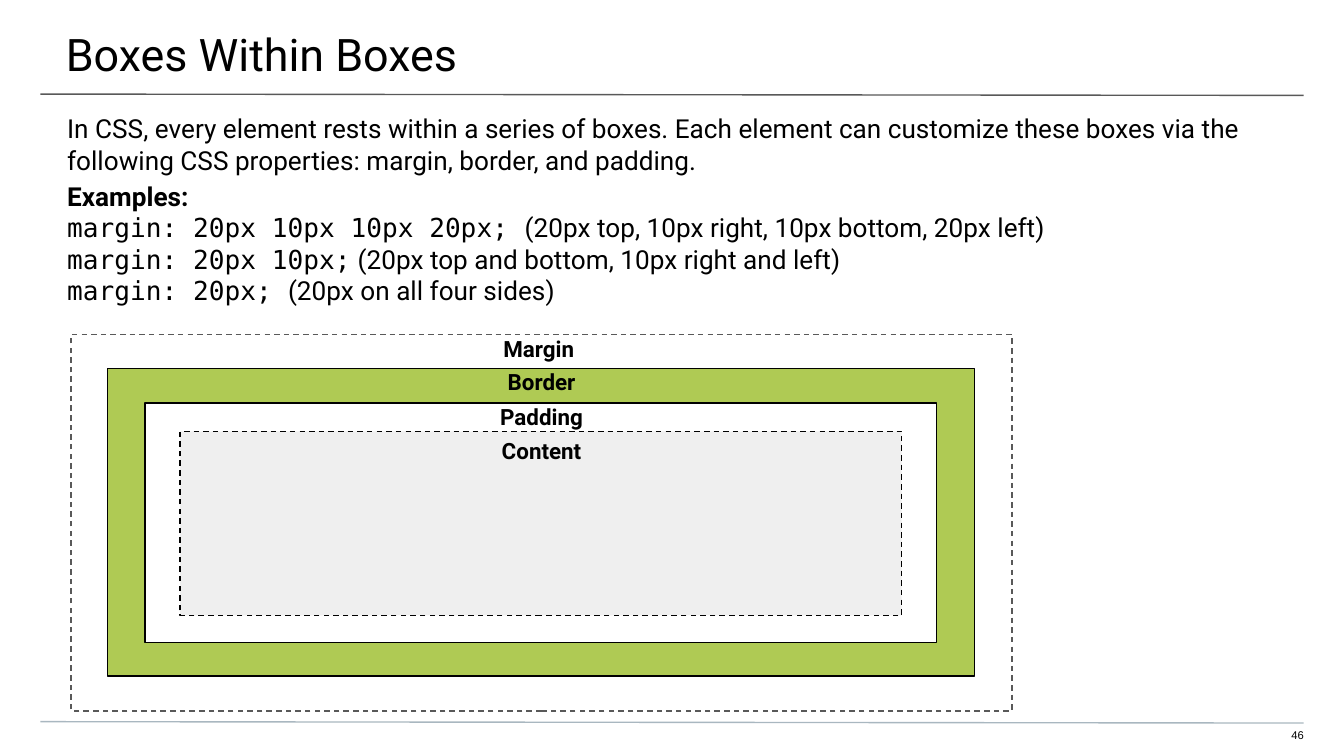
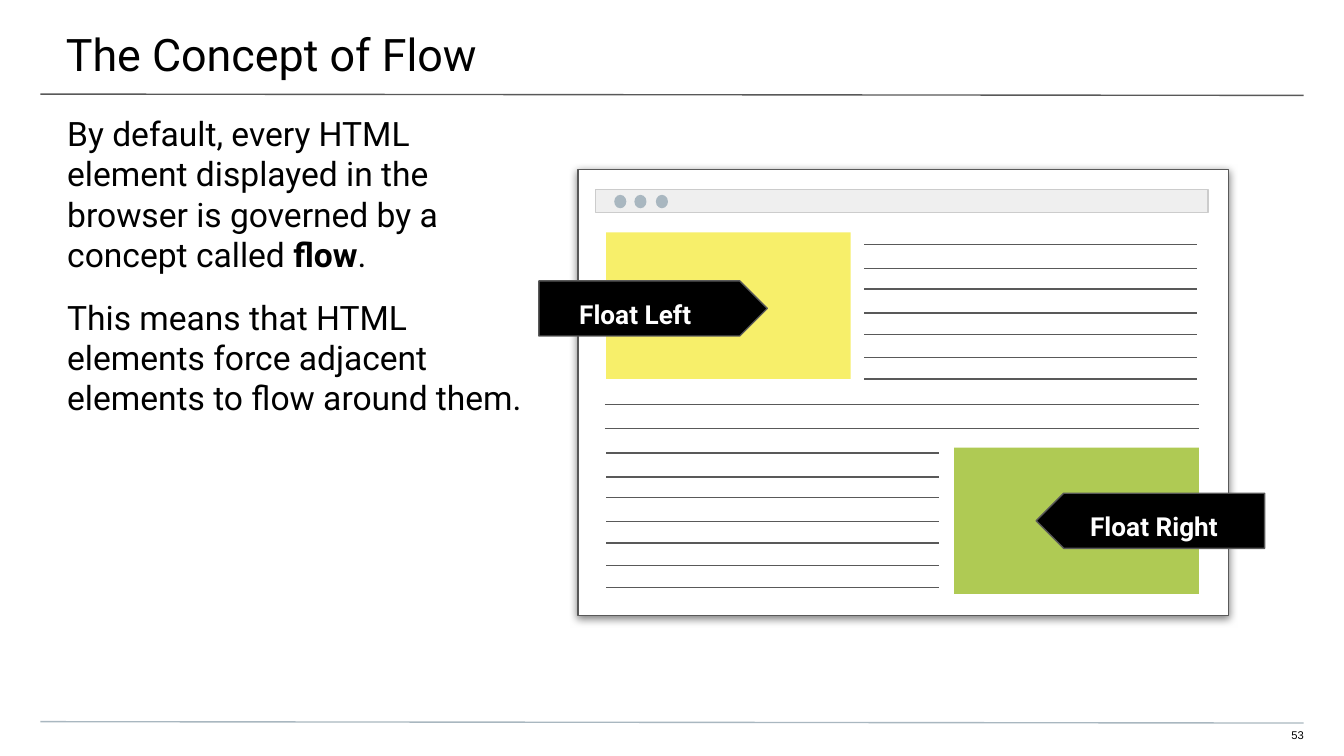
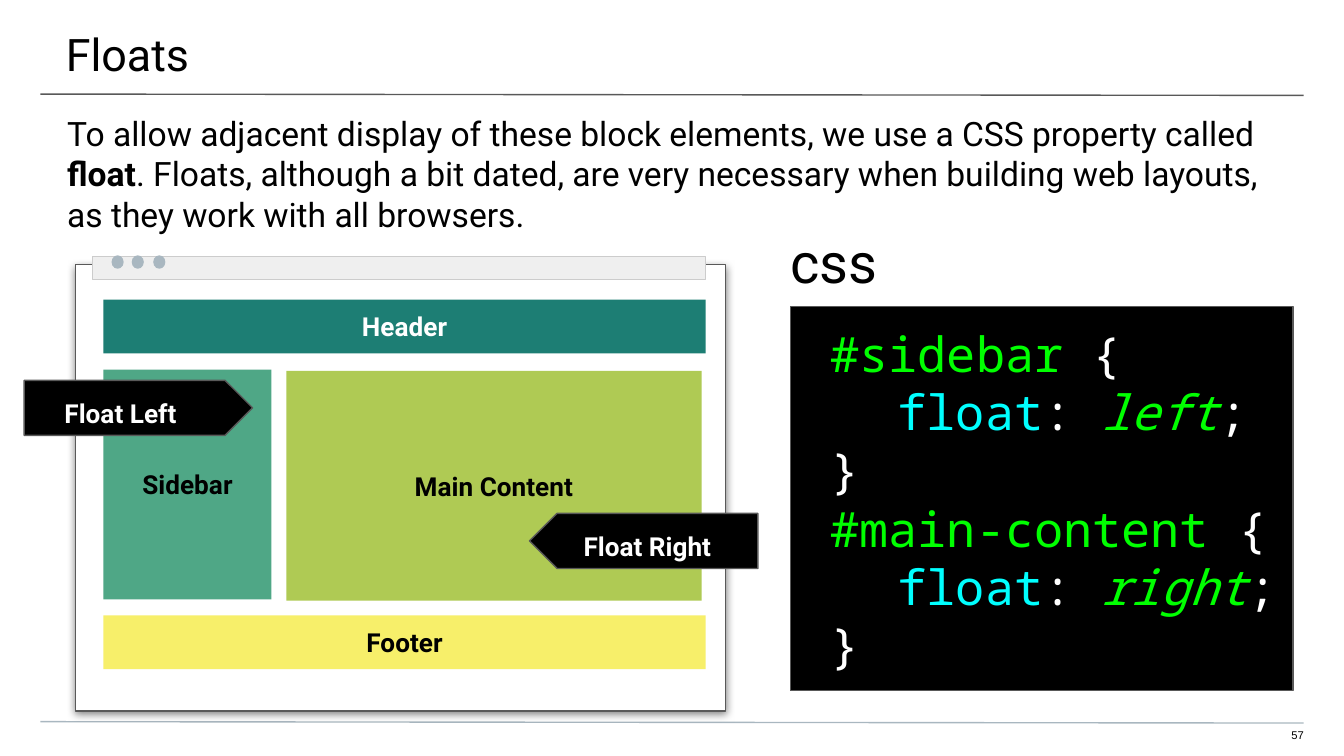
from lxml import etree
from pptx import Presentation
from pptx.dml.color import RGBColor
from pptx.enum.dml import MSO_LINE
from pptx.enum.shapes import MSO_CONNECTOR, MSO_SHAPE
from pptx.enum.text import MSO_ANCHOR, PP_ALIGN
from pptx.oxml.ns import qn
from pptx.util import Inches, Pt

PX = 9144  # EMU in one px, 100 px to the inch
RECT, OVAL, ARROW = MSO_SHAPE.RECTANGLE, MSO_SHAPE.OVAL, MSO_SHAPE.PENTAGON
STRAIGHT = MSO_CONNECTOR.STRAIGHT
LEFT, CENTER, RIGHT = PP_ALIGN.LEFT, PP_ALIGN.CENTER, PP_ALIGN.RIGHT
TOP, MIDDLE = MSO_ANCHOR.TOP, MSO_ANCHOR.MIDDLE
DASH = MSO_LINE.DASH

SANS, MONO, CODE, NUMBER = "Roboto", "DejaVu Sans Mono", "Noto Sans Mono", "Arial"
COLORS = {
    "black": "000000", "white": "FFFFFF", "rule": "595959", "steel": "A9B7C0",
    "bar": "EFEFEF", "bar_edge": "CCCCCC", "green": "AFCA54", "yellow": "F7EF6A",
    "teal": "1D7E74", "mint": "4FA786", "lime": "00FF00", "cyan": "00FFFF",
}
BODY_INSETS = (50, 10, 50, 0)


def rgb(name):
    return RGBColor.from_string(COLORS[name])


def write(sp, paras, size=14, font=SANS, color="black", bold=False, align=LEFT,
          anchor=TOP, insets=(0, 0, 0, 0), leading=None, before=0, indents=()):
    """Fill sp; each paragraph is a string or a list of (text, overrides) runs."""
    tf = sp.text_frame
    tf.word_wrap = True
    tf.vertical_anchor = anchor
    tf.margin_left, tf.margin_top, tf.margin_right, tf.margin_bottom = (
        v * PX for v in insets)
    for i, runs in enumerate([paras] if isinstance(paras, str) else paras):
        p = tf.paragraphs[0] if i == 0 else tf.add_paragraph()
        p.alignment = align
        if i and before:
            p.space_before = Pt(before)
        if leading:
            p.line_spacing = Pt(leading)
        if i in indents:
            p._p.get_or_add_pPr().set("indent", str(50 * PX))
        for text, fmt in [(runs, {})] if isinstance(runs, str) else runs:
            if text == "\n":
                p.add_line_break()
                continue
            r = p.add_run()
            r.text = text
            r.font.name = fmt.get("font", font)
            r.font.size = Pt(size)
            r.font.bold = fmt.get("bold", bold)
            r.font.italic = fmt.get("italic", False)
            r.font.color.rgb = rgb(fmt.get("color", color))


def text_box(s, box, paras, **fmt):
    write(s.shapes.add_textbox(*(v * PX for v in box)), paras, **fmt)


def shape(s, kind, box, fill, line=None, dash=None):
    sp = s.shapes.add_shape(kind, *(v * PX for v in box))
    sp.shadow.inherit = False
    sp.fill.solid()
    sp.fill.fore_color.rgb = rgb(fill)
    if line:
        sp.line.color.rgb = rgb(line)
        sp.line.width = Pt(0.75)
        if dash:
            sp.line.dash_style = dash
    else:
        sp.line.fill.background()
    return sp


def rule(s, x1, y1, x2, y2, color="rule"):
    ln = s.shapes.add_connector(STRAIGHT, x1 * PX, y1 * PX, x2 * PX, y2 * PX)
    ln.line.color.rgb = rgb(color)
    ln.line.width = Pt(0.75)
    etree.SubElement(ln._element.spPr, qn("a:effectLst"))


def drop_shadow(sp):
    effects = sp._element.spPr.find(qn("a:effectLst"))
    shadow = etree.SubElement(effects, qn("a:outerShdw"), blurRad="57150",
                              dist="19050", dir="5400000", algn="bl", rotWithShape="0")
    color = etree.SubElement(shadow, qn("a:srgbClr"), val=COLORS["black"])
    etree.SubElement(color, qn("a:alpha"), val="50000")


def base_slide(prs, title, number):
    s = prs.slides.add_slide(prs.slide_layouts[6])
    text_box(s, (941, 542, 29, 12), number, size=6, font=NUMBER, align=RIGHT,
             insets=(0, 0, 0, 10))
    rule(s, 30, 70, 970, 71)
    rule(s, 30, 537, 970, 538, "steel")
    text_box(s, (-1, 0, 1003, 58), title, size=24, insets=(50, 20, 30, 10))
    return s


def browser(s, x, y, bar_dy, dots_dy):
    drop_shadow(shape(s, RECT, (x, y, 484, 332), "white", "rule"))
    shape(s, RECT, (x + 13, y + bar_dy, 456, 17), "bar", "bar_edge")
    for i in range(3):
        shape(s, OVAL, (x + 27 + 31 * i // 2, y + dots_dy, 9, 10), "steel")


def float_tag(s, x, y, side):
    sp = shape(s, ARROW, (x, y, 170, 41), "black", "rule")
    if side == "Right":
        sp._element.spPr.find(qn("a:xfrm")).set("flipH", "1")
    write(sp, f"Float {side}", color="white", bold=True, anchor=MIDDLE,
          insets=(30, 18, 10, 10))


def text_lines(s, x, y):
    """Seven rules standing for a column of text."""
    for dy in (0, 18, 33, 51, 67, 84, 100):
        rule(s, x, y + dy, x + 248, y + dy)


def box_model(s, x, y):
    layers = [
        ("Margin ", (0, 0, 700, 280), "white", "rule", DASH),
        ("Border", (27, 25, 645, 229), "green", "black", None),
        ("Padding", (55, 51, 589, 178), "white", "black", None),
        ("Content", (81, 72, 537, 137), "bar", "black", DASH),
    ]
    for _, (dx, dy, w, h), fill, line, dash in layers:
        shape(s, RECT, (x + dx, y + dy, w, h), fill, line, dash)
    for i, layer in enumerate(layers):
        text_box(s, (x, y + round(25.4 * i), 700, 29), layer[0], size=12, bold=True,
                 align=CENTER)


def page_blocks(s, x, y):
    for name, (dx, dy, w, h), fill, color in [
        ("Header", (0, 0, 448, 40), "teal", "white"),
        ("Main Content", (136, 53, 309, 171), "green", "black"),
        ("Footer", (0, 235, 448, 40), "yellow", "black"),
        ("Sidebar", (0, 52, 125, 171), "mint", "black"),
    ]:
        sp = shape(s, RECT, (x + dx, y + dy, w, h), fill)
        write(sp, name, color=color, bold=True, align=CENTER, anchor=MIDDLE)


def css_panel(s, x, y):
    lime, cyan = {"color": "lime"}, {"color": "cyan"}
    paras = []
    for selector, side in (("#sidebar", "left"), ("#main-content", "right")):
        paras += [
            [(selector, lime), (" {", {})],
            [("float", cyan), (": ", {}), (side, {"color": "lime", "italic": True}),
             (";", {})],
            "}",
        ]
    write(shape(s, RECT, (x, y + 69, 374, 286), "black", "rule"), paras, size=26,
          font=CODE, color="white", anchor=MIDDLE, insets=(30, 10, 10, 10),
          leading=31.2, indents=(1, 4))
    text_box(s, (x, y, 213, 58), "css", size=30, insets=(0, 10, 10, 10))


def boxes_slide(prs):
    s = base_slide(prs, "Boxes Within Boxes", "46")
    text_box(s, (0, 74, 1000, 40),
             "In CSS, every element rests within a series of boxes. Each element can "
             "customize these boxes via the following CSS properties: margin, border, "
             "and padding.", insets=BODY_INSETS, leading=16.8)
    mono = {"font": MONO}
    text_box(s, (0, 140, 1000, 82), [[
        ("Examples: ", {"bold": True}), ("\n", {}),
        ("margin: 20px 10px 10px 20px; ", mono),
        ("(20px top, 10px right, 10px bottom, 20px left)", {}), ("\n", {}),
        ("margin: 20px 10px;", mono),
        (" (20px top and bottom, 10px right and left)", {}), ("\n", {}),
        ("margin: 20px; ", mono), ("(20px on all four sides)", {}),
    ]], insets=(50, 0, 50, 88), leading=16.8)
    box_model(s, 53, 249)


def flow_slide(prs):
    s = base_slide(prs, "The Concept of Flow", "53")
    browser(s, 430, 126, bar_dy=15, dots_dy=19)
    shape(s, RECT, (451, 173, 182, 109), "yellow")
    text_lines(s, 643, 182)
    for y in (301, 319):
        rule(s, 450, y, 892, y)
    float_tag(s, 401, 209, "Left")
    text_lines(s, 451, 337)
    shape(s, RECT, (710, 333, 182, 109), "green")
    float_tag(s, 771, 367, "Right")
    text_box(s, (0, 74, 449, 263), [
        [("By default, every HTML element displayed in the browser is governed by a "
          "concept called ", {}), ("flow", {"bold": True}), (".", {})],
        "This means that HTML elements force adjacent elements to flow around them.",
    ], size=18, insets=BODY_INSETS, leading=21.6, before=12)


def floats_slide(prs):
    s = base_slide(prs, "Floats", "57")
    text_box(s, (0, 74, 1000, 40), [[
        ("To allow adjacent display of these block elements, we use a CSS property "
         "called ", {}), ("float", {"bold": True}),
        (". Floats, although a bit dated, are very necessary when building web "
         "layouts, as they work with all browsers.", {}),
    ]], size=18, insets=BODY_INSETS, leading=21.6)
    browser(s, 56, 197, bar_dy=-6, dots_dy=-7)
    page_blocks(s, 77, 223)
    float_tag(s, 394, 382, "Right")
    float_tag(s, 18, 283, "Left")
    css_panel(s, 588, 159)


def main():
    prs = Presentation()
    prs.slide_width, prs.slide_height = Inches(10), Inches(45 / 8)
    boxes_slide(prs)
    flow_slide(prs)
    floats_slide(prs)
    prs.save("out.pptx")


if __name__ == "__main__":
    main()
